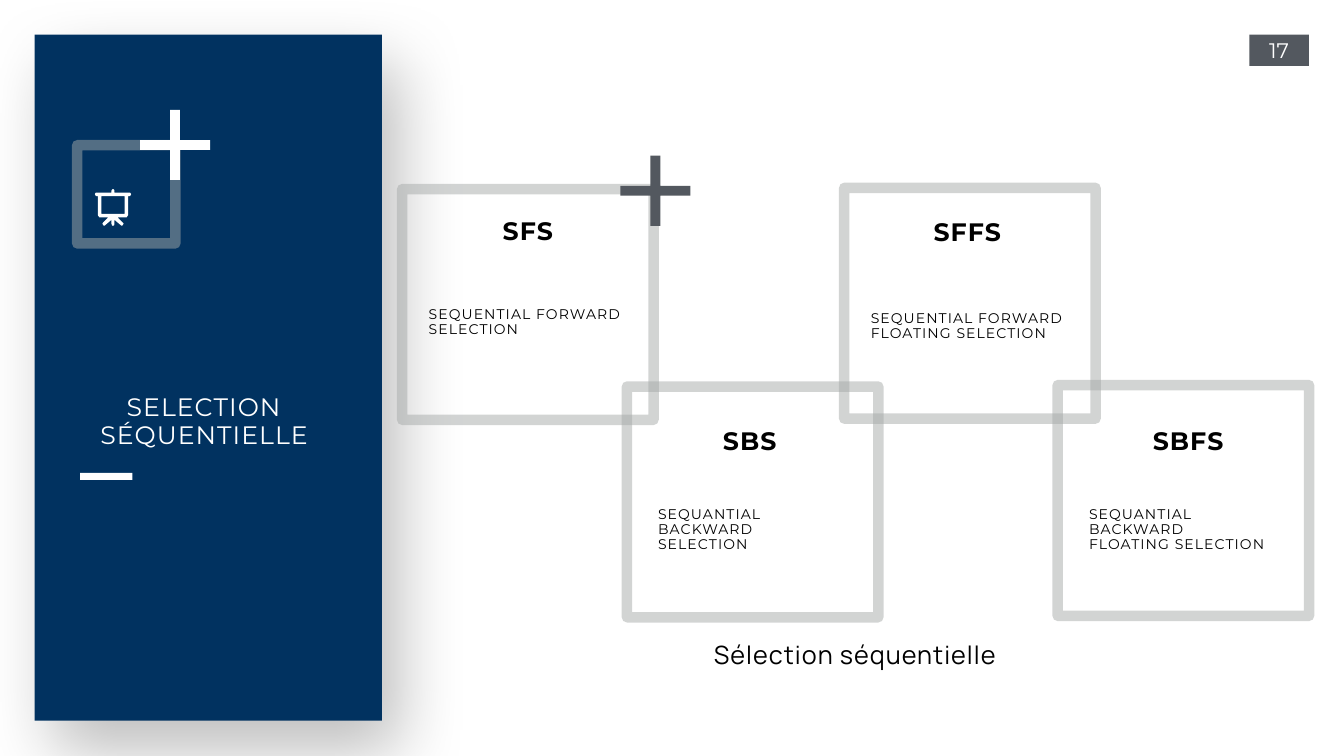
import pptx
import pptx.dml.color
import pptx.enum.shapes
import pptx.enum.text
import pptx.oxml.ns
import pptx.util
from dataclasses import dataclass
from lxml import etree

Cm, Pt = pptx.util.Cm, pptx.util.Pt
KIND = pptx.enum.shapes.MSO_SHAPE
FIT = pptx.enum.text.MSO_AUTO_SIZE
ANCHOR = pptx.enum.text.MSO_ANCHOR
ALIGN = pptx.enum.text.PP_ALIGN
qn = pptx.oxml.ns.qn


@dataclass(frozen=True)
class Theme:
    navy: str = "013260"
    slate: str = "53585F"
    grey: str = "A6AAA9"
    white: str = "FFFFFF"
    black: str = "000000"
    sans: str = "Montserrat"
    round: str = "Manrope"
    big: int = 36
    page: int = 30
    small: int = 20
    track: float = 1.5
    lead: float = 0.9
    frame: int = 15


LOOK = Theme()
SIZE = (67.74, 38.1)
TITLE = "SELECTION SÉQUENTIELLE"
CAPTION = "Sélection séquentielle"
PAGE = "17"

# head, lines, then left and top of the frame, the head and the lines (cm)
CARDS = [
    ("SFS", ["SEQUENTIAL FORWARD", "SELECTION"],
     (20.27, 9.53), (22.4, 10.85), (21.46, 15.34)),
    ("SFFS", ["SEQUENTIAL FORWARD", "FLOATING SELECTION"],
     (42.55, 9.47), (44.55, 10.92), (43.74, 15.52)),
    ("SBS", ["SEQUANTIAL BACKWARD", "SELECTION"],
     (31.6, 19.48), (33.58, 21.44), (33.02, 25.81)),
    ("SBFS", ["SEQUANTIAL BACKWARD", "FLOATING SELECTION"],
     (53.31, 19.41), (55.68, 21.44), (54.74, 25.81)),
]
CARD, HEAD, BODY = (12.67, 11.63), (8.41, 1.68), (10.29, 1.83)
PLUS = 3.53

# Right half of the easel icon, as steps from its top centre
EASEL = [(0, 0), (2, 1), (3, 3), (3, 7), (34, 7), (36, 10), (34, 14), (30, 14),
         (30, 52), (27, 56), (9, 56), (20, 67), (21, 69), (18, 73), (16, 72),
         (3, 61), (3, 69), (2, 72), (0, 73)]
BOARD = [(23, 14), (23, 49), (-23, 49), (-23, 14)]
STEP = 0.0254


def rgb(tone):
    return pptx.dml.color.RGBColor.from_string(tone)


def fade(node, part):
    etree.SubElement(node, qn("a:alpha"), val=str(part * 1000))


def paint(shape, tone):
    shape.shadow.inherit = False
    shape.fill.solid()
    shape.fill.fore_color.rgb = rgb(tone)
    shape.line.fill.background()


def block(slide, kind, box, tone):
    shape = slide.shapes.add_shape(kind, *map(Cm, box))
    paint(shape, tone)
    return shape


def frame(slide, box):
    """Add a hollow box with a half-clear border."""
    shape = slide.shapes.add_shape(KIND.RECTANGLE, *map(Cm, box))
    shape.shadow.inherit = False
    shape.fill.background()
    shape.line.color.rgb = rgb(LOOK.grey)
    shape.line.width = Pt(LOOK.frame)
    fade(shape.line._ln.find(".//" + qn("a:srgbClr")), 50)


def plus(slide, left, top, tone):
    shape = block(slide, KIND.CROSS, (left, top, PLUS, PLUS), tone)
    shape.adjustments[0] = 0.43


def cast(shape):
    """Give the shape a soft shadow, down and to the right."""
    effects = shape._element.spPr.find(qn("a:effectLst"))
    shadow = etree.SubElement(
        effects, qn("a:outerShdw"), blurRad=str(Pt(100)), dist=str(Pt(50)),
        dir=str(60 * 60000), algn="ctr", rotWithShape="0")
    fade(etree.SubElement(shadow, qn("a:srgbClr"), val=LOOK.black), 25)


def write(shape, lines, size, tone=LOOK.black, face=LOOK.sans, bold=False,
          align=ALIGN.CENTER, anchor=ANCHOR.MIDDLE, track=LOOK.track,
          lead=LOOK.lead):
    text = shape.text_frame
    text.text = "\n".join(lines)
    text.word_wrap = True
    text.auto_size = FIT.SHAPE_TO_FIT_TEXT
    text.vertical_anchor = anchor
    text.margin_left = text.margin_right = Cm(0.15)
    text.margin_top = text.margin_bottom = Cm(0.15)
    for para in text.paragraphs:
        para.alignment = align
        para.line_spacing = lead
        para.space_before = Pt(0)
        font = para.font
        font.name, font.size, font.bold = face, Pt(size), bold
        font.color.rgb = rgb(tone)
        font._rPr.set("spc", str(int(track * 100)))


def label(slide, box, lines, size, **style):
    write(slide.shapes.add_textbox(*map(Cm, box)), lines, size, **style)


def easel(slide, left, top):
    start, *right = EASEL
    mirror = [(-x, y) for x, y in reversed(right[:-1])]
    pen = slide.shapes.build_freeform(*start, scale=Cm(STEP))
    pen.add_line_segments(right + mirror)
    pen.move_to(*BOARD[0])
    pen.add_line_segments(BOARD[1:])
    paint(pen.convert_to_shape(Cm(left + 36 * STEP), Cm(top)), LOOK.white)


def panel(slide):
    cast(block(slide, KIND.RECTANGLE, (1.75, 1.75, 17.5, 34.57), LOOK.navy))
    title = slide.shapes.title
    slide.shapes._spTree.append(title._element)
    title.left, title.top, title.width, title.height = map(
        Cm, (3.23, 19.76, 14.12, 3.05))
    write(title, [TITLE], LOOK.big, tone=LOOK.white, anchor=ANCHOR.BOTTOM)
    block(slide, KIND.RECTANGLE, (4.04, 23.83, 2.64, 0.36), LOOK.white)
    easel(slide, 4.78, 9.53)
    frame(slide, (3.89, 7.32, 4.95, 4.95))
    plus(slide, 7.06, 5.54, LOOK.white)


def main():
    deck = pptx.Presentation()
    deck.slide_width, deck.slide_height = map(Cm, SIZE)
    slide = deck.slides.add_slide(deck.slide_layouts[5])
    panel(slide)
    badge = block(slide, KIND.RECTANGLE, (62.97, 1.75, 3, 1.57), LOOK.slate)
    write(badge, [PAGE], LOOK.page, tone=LOOK.white, anchor=ANCHOR.TOP,
          track=0, lead=1.0)
    for head, lines, spot, high, low in CARDS:
        frame(slide, spot + CARD)
        label(slide, high + HEAD, [head], LOOK.big, bold=True)
        label(slide, low + BODY, lines, LOOK.small, align=ALIGN.LEFT)
    plus(slide, 31.27, 7.85, LOOK.slate)
    label(slide, (24.46, 32.23, 37.26, 1.65), [CAPTION], LOOK.big,
          face=LOOK.round, anchor=ANCHOR.TOP)
    deck.save("out.pptx")


if __name__ == "__main__":
    main()
